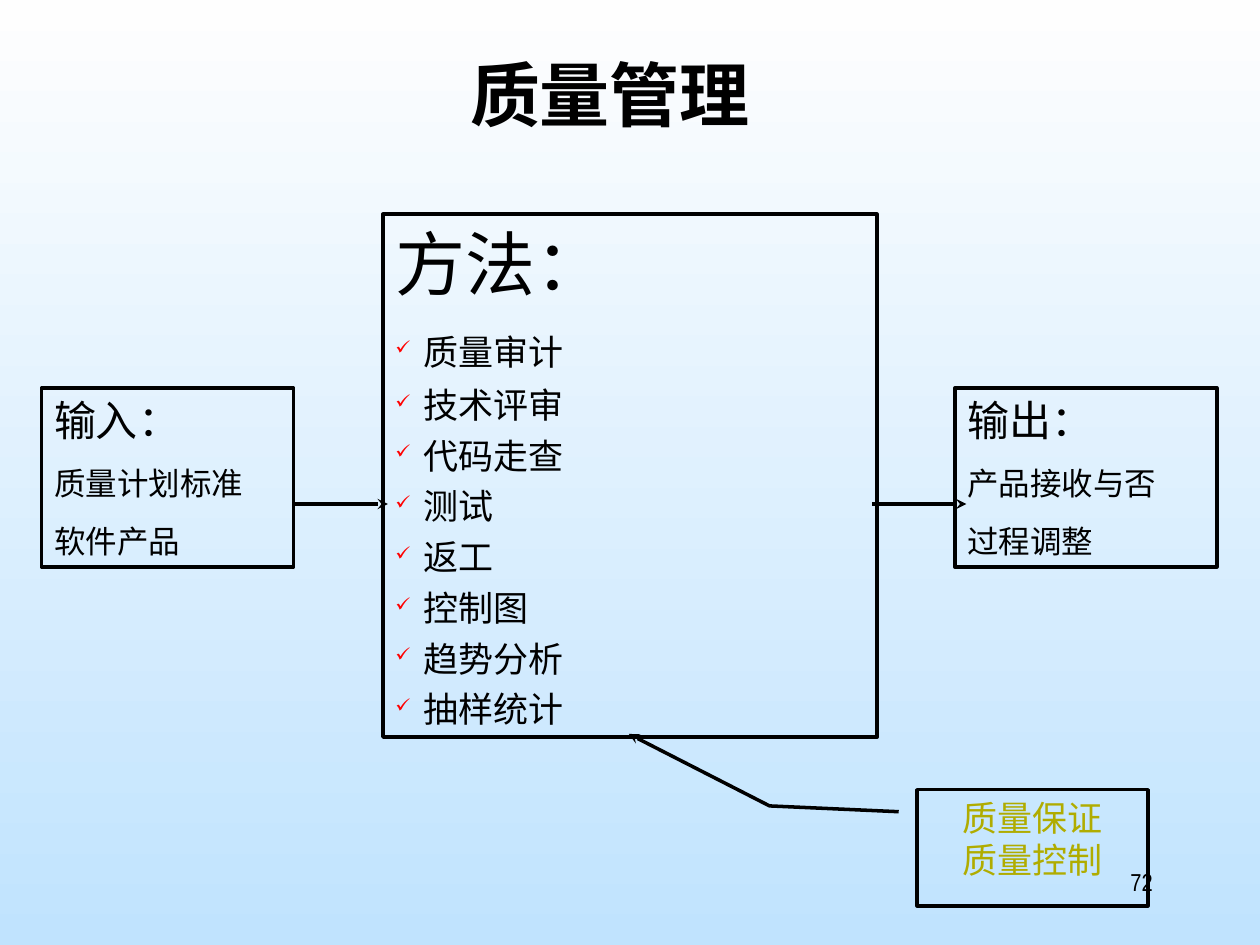
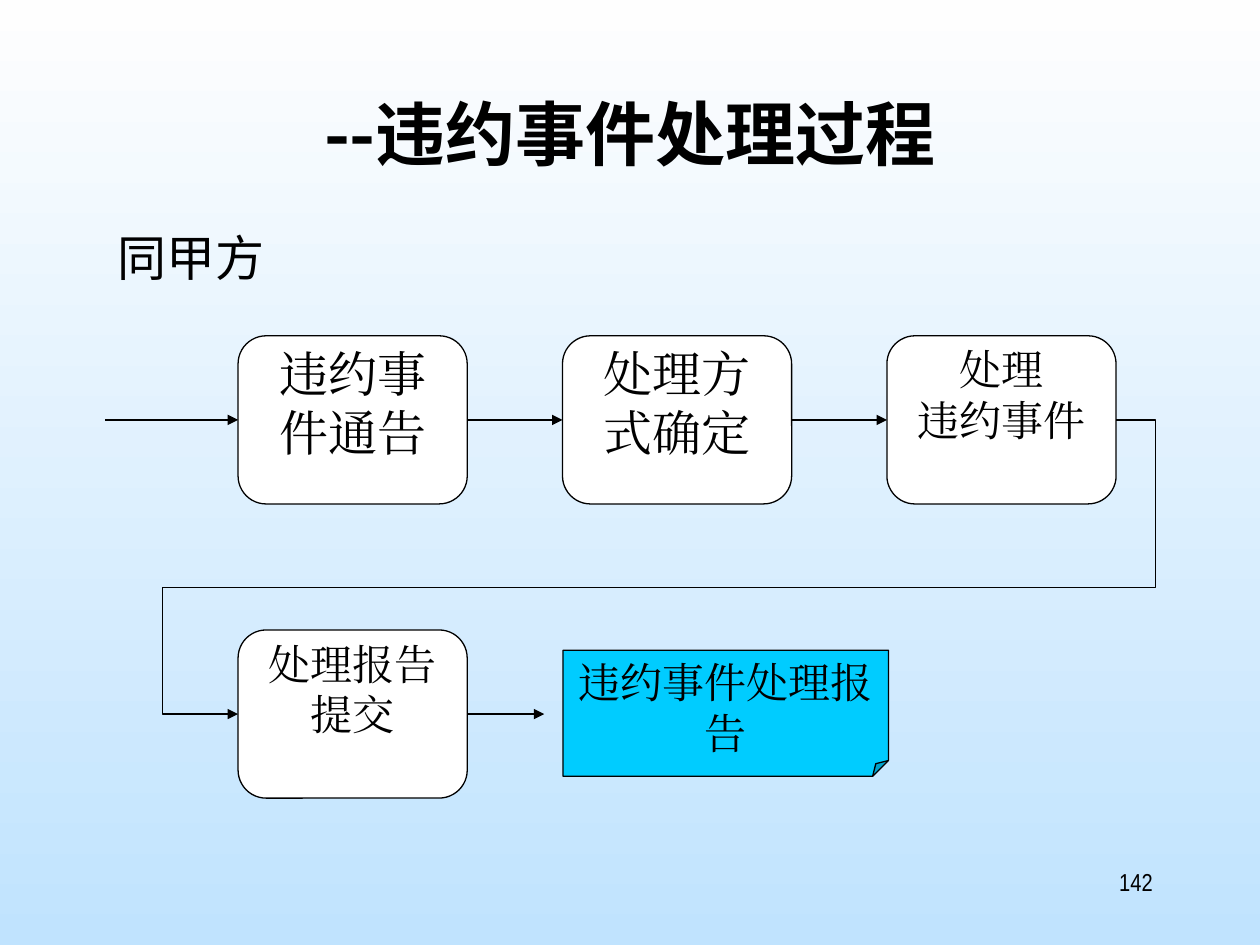
from lxml import etree
from pptx import Presentation
from pptx.dml.color import RGBColor
from pptx.enum.shapes import MSO_CONNECTOR, MSO_SHAPE
from pptx.enum.text import MSO_ANCHOR, MSO_AUTO_SIZE, PP_ALIGN
from pptx.oxml.ns import qn
from pptx.util import Cm, Pt

RECT, ROUND = MSO_SHAPE.RECTANGLE, MSO_SHAPE.ROUNDED_RECTANGLE
FOLD, CALLOUT = MSO_SHAPE.FOLDED_CORNER, MSO_SHAPE.LINE_CALLOUT_2
LEFT, CENTER, RIGHT = PP_ALIGN.LEFT, PP_ALIGN.CENTER, PP_ALIGN.RIGHT
STRAIGHT = MSO_CONNECTOR.STRAIGHT

BLACK, WHITE, OLIVE, RED, CYAN = "000000", "FFFFFF", "B0AC00", "FF0000", "00CCFF"
SKY = ("FEFEFE", "C0E3FE")
NARROW, SERIF, SANS = "Arial Narrow", "Times New Roman", "Noto Sans CJK SC"
THICK, THIN = 2, 0.75
PAGE_BOX = (18.2, 17.35, 5.29, 1.27)

# Quality slide: each line is text, size, space before
METHODS = ["质量审计", "技术评审", "代码走查", "测试",
           "返工", "控制图", "趋势分析", "抽样统计"]
GAPS = [14.5, 6.5] + [5] * (len(METHODS) - 2)
PANELS = [
    ((7.72, 4.32, 9.96, 10.54),
     [("方法：", 40, 0)] + [(name, 20, gap) for name, gap in zip(METHODS, GAPS)]),
    ((0.84, 7.82, 5.08, 3.61),
     [("输入：", 24, 0), ("质量计划标准", 18, 11.2), ("软件产品", 18, 11.2)]),
    ((19.25, 7.82, 5.28, 3.61),
     [("输出：", 24, 0), ("产品接收与否", 18, 11.2), ("过程调整", 18, 11.2)]),
]
FLOWS = [(5.92, 7.82), (17.58, 19.48)]
FLOW_Y = 10.16
NOTE = [("质量保证", 20, 0), ("质量控制", 20, 0)]
NOTE_BOX = (18.49, 15.92, 4.65, 2.34)
NOTE_BENDS = (0.19, -0.08, 0.14, -0.64, -0.48, -1.25)

# Breach slide: each step is column, row, side inset, lines
STEPS = [
    (0, 0, 0.25, [("违约事件通告", 28, 0)]),
    (1, 0, 0.25, [("处理方式确定", 28, 0)]),
    (2, 0, 0, [("处理", 24, 0), ("违约事件", 24, 0)]),
    (0, 1, 0.25, [("处理报告", 24, 0), ("提交", 24, 0)]),
]
COL_X, COL_STEP = 4.8, 6.54
ROW_Y, ROW_STEP = 6.77, 5.93
STEP_W, STEP_H = 4.62, 3.39
LOOP_LEFT, LOOP_RIGHT, LOOP_Y = 3.28, 23.29, 11.84
ENTRY_X, EXIT_X = 2.12, 10.97
REPORT_BOX = (11.35, 13.11, 6.56, 2.54)


def color(code):
    return RGBColor.from_string(code)


def cms(*values):
    return [Cm(value) for value in values]


def style(para, font, size, code, bold=False):
    """Format the runs, with one typeface for Latin and Chinese letters."""
    for run in para.runs:
        run.font.name, run.font.size, run.font.bold = font, Pt(size), bold
        run.font.color.rgb = color(code)
        ea = etree.Element(qn("a:ea"), typeface=font)
        run.font._element.find(qn("a:latin")).addnext(ea)


def write(shape, lines, font=NARROW, code=BLACK, align=LEFT, side=0.25, top=0.13):
    frame = shape.text_frame
    frame.word_wrap = True
    frame.vertical_anchor = MSO_ANCHOR.TOP
    frame.margin_left = frame.margin_right = Cm(side)
    frame.margin_top = frame.margin_bottom = Cm(top)
    frame.text = "\n".join(text for text, size, gap in lines)
    for para, (text, size, gap) in zip(frame.paragraphs, lines):
        para.alignment = align
        if gap:
            para.space_before = Pt(gap)
        style(para, font, size, code)


def check(para):
    """Give a paragraph a red tick as its bullet."""
    props = para._p.get_or_add_pPr()
    props.set("marL", str(Cm(0.57)))
    props.set("indent", str(-Cm(0.57)))
    tint = etree.SubElement(props, qn("a:buClr"))
    etree.SubElement(tint, qn("a:srgbClr"), val=RED)
    etree.SubElement(props, qn("a:buSzPct"), val="55000")
    etree.SubElement(props, qn("a:buChar"), char="✓")


def outline(shape, width, head=None):
    shape.line.color.rgb = color(BLACK)
    shape.line.width = Pt(width)
    if head:
        line = shape.element.spPr.find(qn("a:ln"))
        etree.SubElement(line, qn("a:tailEnd"), type=head)


def paint(shape, fill, width, head=None):
    shape.shadow.inherit = False
    if fill:
        shape.fill.solid()
        shape.fill.fore_color.rgb = color(fill)
    else:
        shape.fill.background()
    outline(shape, width, head)


def add_box(slide, kind, box, width, fill=None, head=None):
    shape = slide.shapes.add_shape(kind, *cms(*box))
    paint(shape, fill, width, head)
    return shape


def add_arrow(slide, x, end, y, width, head, start=None, goal=None):
    """Draw a level arrow, joined to the start and goal shapes if given."""
    arrow = slide.shapes.add_connector(STRAIGHT, *cms(x, y, end, y))
    outline(arrow, width, head)
    etree.SubElement(arrow.element.spPr, qn("a:effectLst"))
    if start:
        arrow.begin_connect(start, 3)
    if goal:
        arrow.end_connect(goal, 1)


def add_text(slide, box, text, size, align=LEFT):
    write(slide.shapes.add_textbox(*cms(*box)), [(text, size, 0)], align=align)


def add_slide(deck, text, left, top):
    slide = deck.slides.add_slide(deck.slide_layouts[5])
    title = slide.shapes.title
    title.left, title.top, title.width, title.height = cms(left, top, 21.59, 3.18)
    frame = title.text_frame
    frame.text = text
    frame.vertical_anchor = MSO_ANCHOR.TOP
    frame.auto_size = MSO_AUTO_SIZE.NONE
    frame.paragraphs[0].alignment = CENTER
    style(frame.paragraphs[0], SANS, 40, BLACK, True)
    return slide


def add_quality(deck):
    slide = add_slide(deck, "质量管理", 1.5, 0.91)
    for box, lines in PANELS:
        panel = add_box(slide, RECT, box, THICK)
        write(panel, lines)
        for para in panel.text_frame.paragraphs:
            if para.text in METHODS:
                check(para)
    for x, end in FLOWS:
        add_arrow(slide, x, end, FLOW_Y, THICK, "stealth")
    note = add_box(slide, CALLOUT, NOTE_BOX, THICK, head="stealth")
    for index, bend in enumerate(NOTE_BENDS):
        note.adjustments[index] = bend
    write(note, NOTE, code=OLIVE, align=CENTER)
    add_text(slide, PAGE_BOX, "72", 14, RIGHT)


def add_breach(deck):
    slide = add_slide(deck, "--违约事件处理过程", 1.9, 1.7)
    add_text(slide, (2.12, 4.45, 4.02, 1.45), "同甲方", 28)
    steps = []
    for col, row, side, lines in STEPS:
        place = (COL_X + col * COL_STEP, ROW_Y + row * ROW_STEP, STEP_W, STEP_H)
        step = add_box(slide, ROUND, place, THIN, WHITE)
        write(step, lines, SERIF, align=CENTER, side=side, top=0)
        steps.append(step)

    mid = ROW_Y + STEP_H / 2
    low = mid + ROW_STEP
    right = COL_X + STEP_W
    add_arrow(slide, ENTRY_X, COL_X, mid, THIN, "triangle", goal=steps[0])
    for col in range(2):
        shift = col * COL_STEP
        add_arrow(slide, right + shift, COL_X + COL_STEP + shift, mid, THIN,
                  "triangle", steps[col], steps[col + 1])
    add_arrow(slide, right, EXIT_X, low, THIN, "triangle", start=steps[3])

    bends = [(LOOP_RIGHT, mid), (LOOP_RIGHT, LOOP_Y), (LOOP_LEFT, LOOP_Y),
             (LOOP_LEFT, low), (COL_X, low)]
    loop = slide.shapes.build_freeform(*cms(right + 2 * COL_STEP, mid))
    loop.add_line_segments([cms(*bend) for bend in bends], close=False)
    paint(loop.convert_to_shape(), None, THIN, "triangle")

    report = add_box(slide, FOLD, REPORT_BOX, THIN, CYAN)
    folds = report.element.spPr.find(qn("a:prstGeom")).find(qn("a:avLst"))
    etree.SubElement(folds, qn("a:gd"), name="adj", fmla="val 12500")
    write(report, [("违约事件处理报告", 24, 0)], SERIF, align=CENTER, side=0)
    add_text(slide, PAGE_BOX, "142", 14, RIGHT)


def main():
    deck = Presentation()
    deck.slide_width, deck.slide_height = cms(25.4, 19.05)
    back = deck.slide_master.background.fill
    back.gradient()
    back.gradient_angle = 270
    for stop, code in zip(back.gradient_stops, SKY):
        stop.color.rgb = color(code)
    add_quality(deck)
    add_breach(deck)
    deck.save("out.pptx")


if __name__ == "__main__":
    main()
